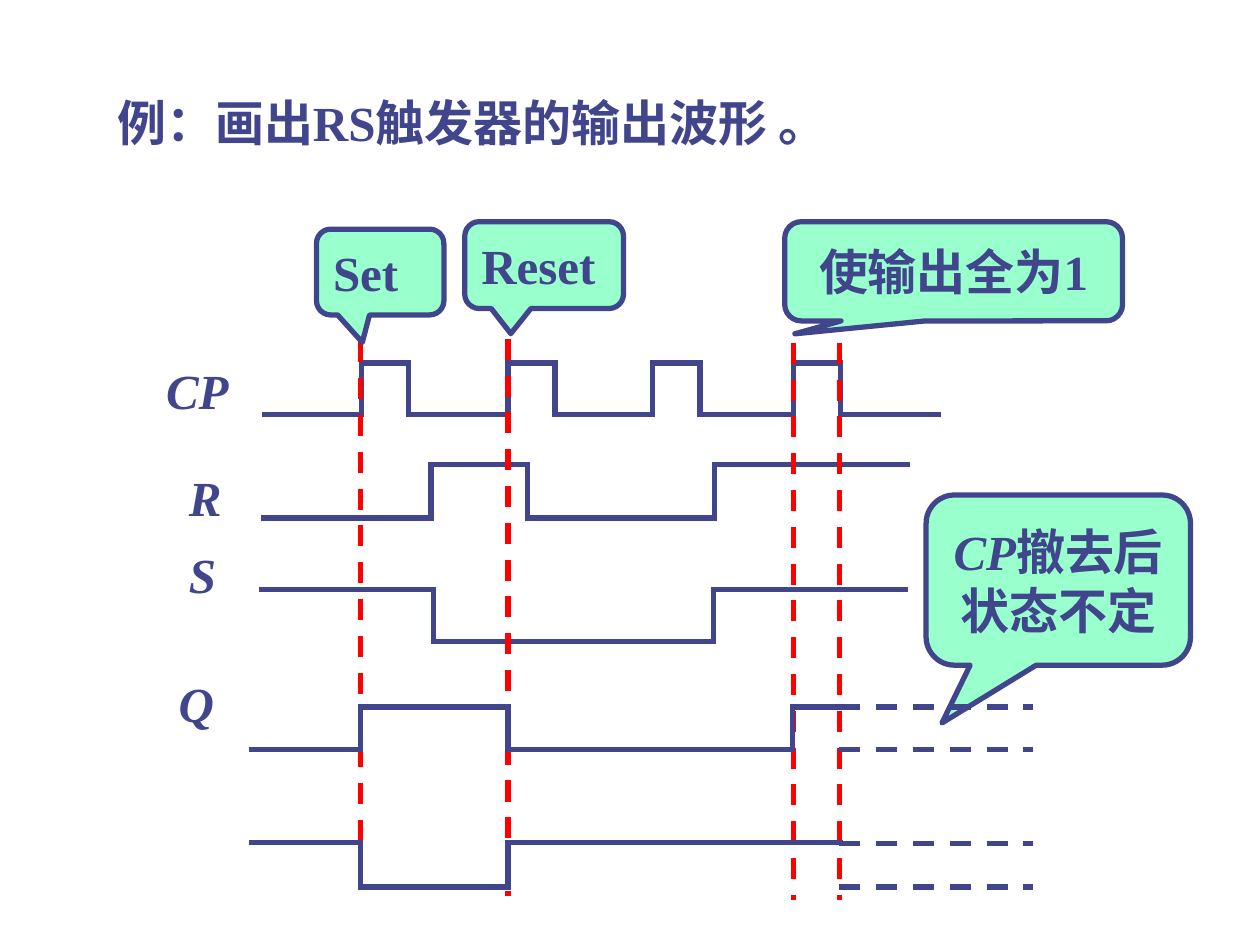
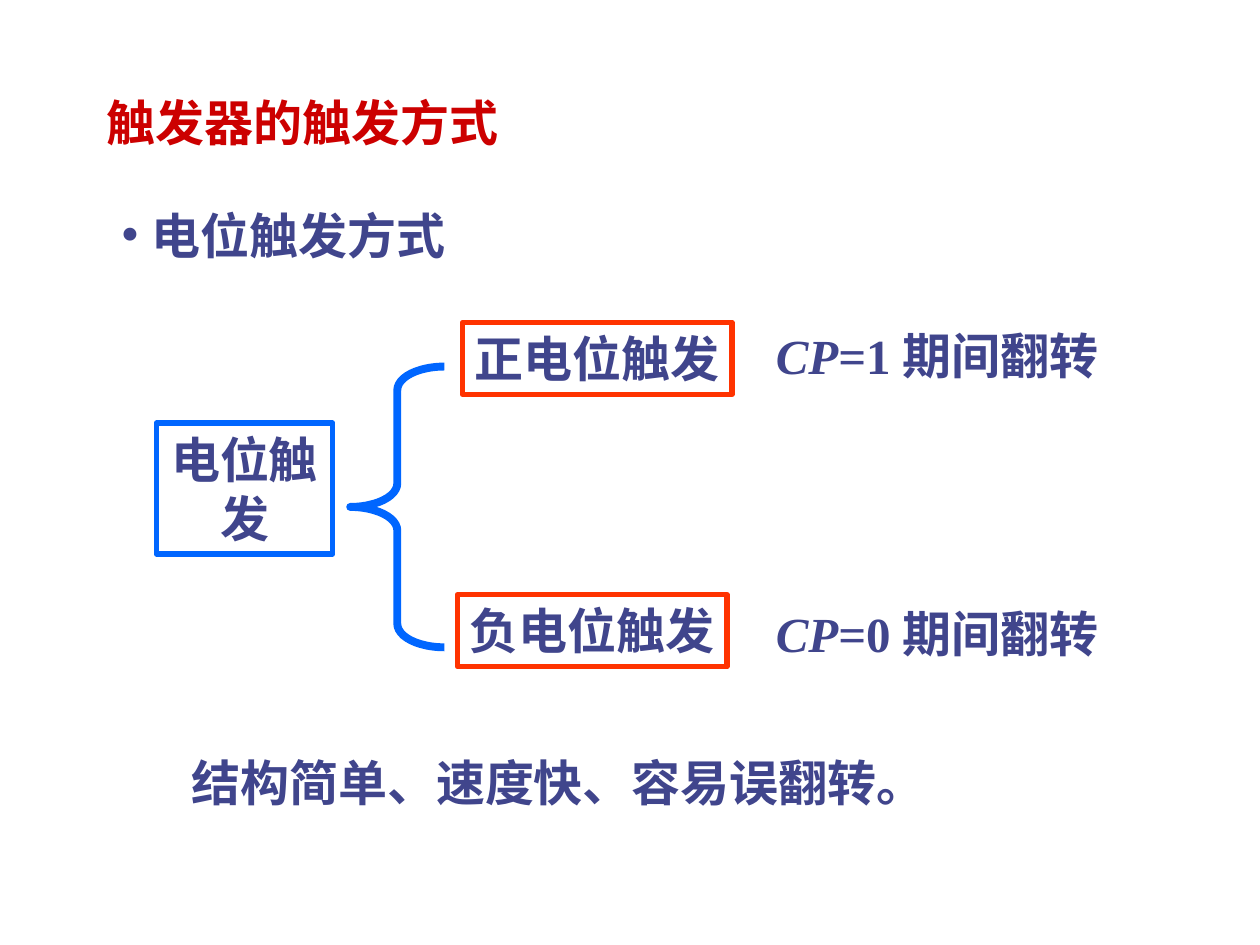
from dataclasses import dataclass
from itertools import chain, pairwise

from lxml.etree import SubElement
from pptx import Presentation
from pptx.dml.color import RGBColor
from pptx.enum.dml import MSO_LINE
from pptx.enum.lang import MSO_LANGUAGE_ID
from pptx.enum.shapes import MSO_CONNECTOR, MSO_SHAPE
from pptx.enum.text import MSO_ANCHOR, MSO_AUTO_SIZE, PP_ALIGN
from pptx.oxml.ns import qn
from pptx.util import Cm, Pt

COLOURS = {
    "ink": "40458C",
    "heading": "CC0000",
    "marker": "FF0000",
    "callout": "99FFCC",
    "root": "0066FF",
    "branch": "FF3300",
}
FONT = "Times New Roman"
TEXT_SIZE = Pt(28)
LINE_WIDTH = 3


@dataclass
class Box:
    """A region in centimetres."""
    left: float
    top: float
    width: float
    height: float

    def inside(self, left, top, width, height):
        return Box(self.left + left, self.top + top, width, height)

    def lengths(self):
        return [Cm(value) for value in (self.left, self.top, self.width, self.height)]


def colour(name):
    return RGBColor.from_string(COLOURS[name])


# Shared text and shape helpers
def write(frame, *lines, ink="ink", align=PP_ALIGN.LEFT, anchor=MSO_ANCHOR.TOP, wrap=True):
    """Write one paragraph per line; words between asterisks are italic."""
    frame.word_wrap = wrap
    frame.auto_size = MSO_AUTO_SIZE.NONE
    frame.vertical_anchor = anchor
    frame.text = "\n".join(line.replace("*", "") for line in lines)
    for paragraph, line in zip(frame.paragraphs, lines):
        paragraph.clear()
        paragraph.alignment = align
        paragraph.space_before = Pt(0)
        for index, words in enumerate(line.split("*")):
            if not words:
                continue
            span = paragraph.add_run()
            span.text = words
            font = span.font
            font.name, font.size, font.bold = FONT, TEXT_SIZE, True
            font.italic = index % 2 == 1
            font.color.rgb = colour(ink)
            font.language_id = MSO_LANGUAGE_ID.SIMPLIFIED_CHINESE


def place(shape, box):
    shape.left, shape.top, shape.width, shape.height = box.lengths()


def add_text(page, box, line):
    write(page.shapes.add_textbox(*box.lengths()).text_frame, line)


def add_title(page, box, words, ink):
    place(page.shapes.title, box)
    write(page.shapes.title.text_frame, words, ink=ink, anchor=MSO_ANCHOR.BOTTOM)


def add_outline(page, kind, box, line, fill=None, width=LINE_WIDTH):
    shape = page.shapes.add_shape(kind, *box.lengths())
    shape.shadow.inherit = False
    if fill:
        shape.fill.solid()
        shape.fill.fore_color.rgb = colour(fill)
    else:
        shape.fill.background()
    shape.line.color.rgb = colour(line)
    shape.line.width = Pt(width)
    return shape


def add_line(page, box, start, end, ink="ink", dashed=False):
    ends = [Cm(value) for x, y in (start, end) for value in (box.left + x, box.top + y)]
    connector = page.shapes.add_connector(MSO_CONNECTOR.STRAIGHT, *ends)
    connector.line.color.rgb = colour(ink)
    connector.line.width = Pt(LINE_WIDTH)
    if dashed:
        connector.line.dash_style = MSO_LINE.DASH
    else:
        connector.line._get_or_add_ln().set("cap", "sq")  # closes the corners
    SubElement(connector._element.spPr, qn("a:effectLst"))


# Timing diagram
def add_wave(page, box, start, end, first, second, edges):
    """Draw a square wave that begins at level first and toggles at each edge."""
    levels = [first, second]
    points = [(start, first)]
    for index, edge in enumerate(edges):
        points += [(edge, levels[index % 2]), (edge, levels[(index + 1) % 2])]
    points.append((end, levels[len(edges) % 2]))
    for here, there in pairwise(points):
        add_line(page, box, here, there)


def add_inputs(page, box):
    clock_edges = list(chain.from_iterable(
        (rise, rise + 0.95) for rise in (2.29, 5.24, 8.16, 11)))
    add_wave(page, box, 0.33, 13.92, 2.36, 1.32, clock_edges)
    add_wave(page, box, 0.31, 13.29, 4.44, 3.37, [3.69, 5.64, 9.4])
    add_wave(page, box, 0.28, 13.26, 5.89, 6.93, [3.74, 9.38])


def add_markers(page, box):
    for x, top, bottom in ((2.26, 0.88, 11.83), (5.24, 0.83, 12.06),
                           (11, 0.91, 12.14), (11.92, 0.91, 12.14)):
        add_line(page, box, (x, top), (x, bottom), "marker", dashed=True)


def add_outputs(page, box):
    add_wave(page, box, 0.08, 11.94, 9.11, 8.25, [2.26, 5.24, 10.98])
    add_wave(page, box, 0.08, 11.94, 10.99, 11.88, [2.26, 5.24])
    # Undefined state once the clock is gone
    for level in (8.25, 9.11, 11, 11.88):
        add_line(page, box, (11.92, level), (15.83, level), dashed=True)


def add_signal_names(page, box):
    for name, left, top in (("CP", 0.1, 0.14), ("R", 0.56, 2.3),
                            ("S", 0.56, 3.85), ("Q", 0.35, 6.46)):
        add_text(page, box.inside(left, top, 2.2, 1.45), f"*{name}*")


def add_callouts(page, box):
    left, centre = PP_ALIGN.LEFT, PP_ALIGN.CENTER
    callouts = [
        (["Set"], (0.38, 0.62, 2.57, 1.73), (-0.14, 0.82), left),
        (["Reset"], (3.37, 0.47, 3.2, 1.75), (-0.21, 0.79), left),
        (["使输出全为1"], (9.82, 0.47, 6.81, 2), (-0.47, 0.63), centre),
        (["*CP*撤去后", "状态不定"], (12.67, 5.98, 5.33, 3.43), (-0.44, 0.84), centre),
    ]
    for lines, area, tip, align in callouts:
        shape = add_outline(page, MSO_SHAPE.ROUNDED_RECTANGULAR_CALLOUT,
                            box.inside(*area), "ink", "callout")
        shape.adjustments[0], shape.adjustments[1] = tip
        write(shape.text_frame, *lines, align=align, anchor=MSO_ANCHOR.MIDDLE)


def build_waveform_page(deck):
    page = deck.slides.add_slide(deck.slide_layouts[5])
    add_title(page, Box(2.11, 1.73, 17.35, 1.45), "例：画出RS触发器的输出波形 。", "ink")
    chart = Box(5, 6, 16, 12.2)
    add_inputs(page, chart)
    add_signal_names(page, Box(3, 7, 2.8, 8))
    add_markers(page, chart)
    add_callouts(page, Box(6, 4, 18, 10))
    add_outputs(page, chart)


# Trigger modes
def add_bullet_list(page, box, line):
    body = page.placeholders[1]
    place(body, box)
    write(body.text_frame, line)
    properties = body.text_frame.paragraphs[0]._p.get_or_add_pPr()
    properties.set("marL", str(Cm(0.62)))
    properties.set("indent", str(-Cm(0.62)))
    bullet_colour = SubElement(properties, qn("a:buClr"))
    SubElement(bullet_colour, qn("a:srgbClr"), val=COLOURS["ink"])
    SubElement(properties, qn("a:buSzPct"), val="110000")
    SubElement(properties, qn("a:buFont"), typeface=FONT)
    SubElement(properties, qn("a:buChar"), char="•")


def add_tree(page, box):
    # Root and brace
    root = add_outline(page, MSO_SHAPE.RECTANGLE, box.inside(0.15, 2.53, 3.56, 2.64), "root")
    write(root.text_frame, "电位触发", align=PP_ALIGN.CENTER)
    brace = add_outline(page, MSO_SHAPE.LEFT_BRACE, box.inside(4.06, 1.39, 1.9, 5.66),
                        "root", width=4.5)
    brace.adjustments[0] = 0.25
    # Branches and the clock level of each
    for name, level, left, top, note_top in (("正", 1, 6.32, 0.5, 0.43),
                                             ("负", 0, 6.22, 5.99, 6.04)):
        branch = add_outline(page, MSO_SHAPE.RECTANGLE,
                             box.inside(left, top, 5.44, 1.45), "branch")
        write(branch.text_frame, f"{name}电位触发", align=PP_ALIGN.CENTER, wrap=False)
        add_text(page, box.inside(12.39, note_top, 8.18, 1.45), f"*CP*={level} 期间翻转")


def build_trigger_page(deck):
    page = deck.slides.add_slide(deck.slide_layouts[1])
    add_title(page, Box(1.9, 1.27, 21.6, 1.9), "触发器的触发方式", "heading")
    add_bullet_list(page, Box(2.18, 4.01, 11.53, 1.45), "电位触发方式")
    add_tree(page, Box(3, 6, 20.6, 7.5))
    add_text(page, Box(3.61, 15.04, 18.9, 1.45), "结构简单、速度快、容易误翻转。")


def main():
    deck = Presentation()
    deck.slide_width, deck.slide_height = Cm(25.4), Cm(19.05)
    build_waveform_page(deck)
    build_trigger_page(deck)
    deck.save("out.pptx")


if __name__ == "__main__":
    main()
